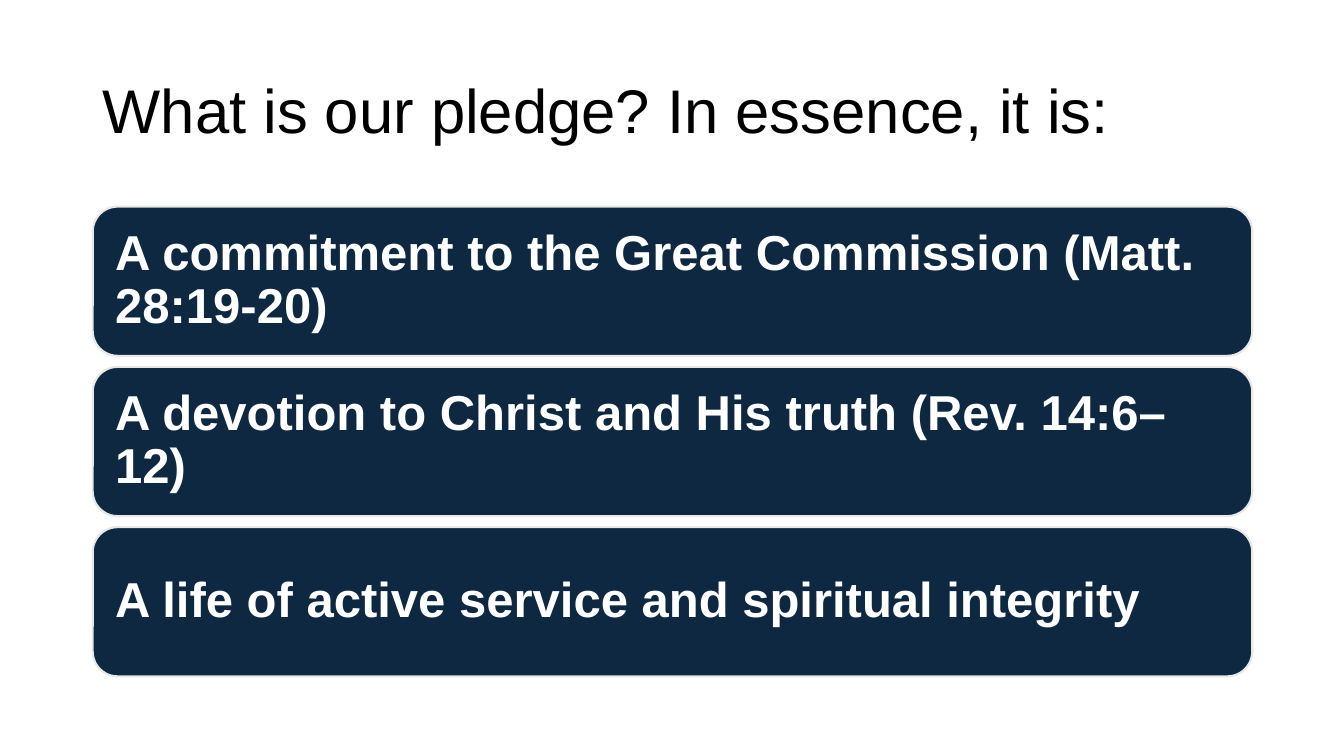
"""Build the pledge slide: a title above three rounded statement bars."""
from pptx import Presentation
from pptx.dml.color import RGBColor
from pptx.enum.shapes import MSO_SHAPE
from pptx.enum.text import MSO_ANCHOR, PP_ALIGN
from pptx.util import Inches, Pt

NAVY = RGBColor(0x0E, 0x28, 0x41)
PALE_GREY = RGBColor(0xE8, 0xE8, 0xE8)
WHITE = RGBColor(0xFF, 0xFF, 0xFF)
BLACK = RGBColor(0x00, 0x00, 0x00)

LEFT, WIDTH = Inches(0.92), Inches(11.5)
FIRST_ROW, ROW_PITCH, BAR_HEIGHT = Inches(2.05), Inches(1.59), Inches(1.48)

PLEDGES = [
    "A commitment to the Great Commission (Matt. 28:19-20)",
    "A devotion to Christ and His truth (Rev. 14:6–12)",
    "A life of active service and spiritual integrity",
]


def write(shape, text, inset, font_format):
    """Set one left-aligned, vertically centred paragraph in a shape."""
    frame = shape.text_frame
    frame.word_wrap = True
    frame.vertical_anchor = MSO_ANCHOR.MIDDLE
    for side in ("left", "right", "top", "bottom"):
        setattr(frame, f"margin_{side}", inset)
    paragraph = frame.paragraphs[0]
    paragraph.alignment = PP_ALIGN.LEFT
    paragraph.line_spacing = 0.9
    run = paragraph.add_run()
    run.text = text
    color = font_format["color"]
    run.font.color.rgb = color
    for key in ("name", "size", "bold"):
        setattr(run.font, key, font_format[key])


deck = Presentation()
deck.slide_width, deck.slide_height = Inches(13.33), Inches(7.5)
slide = deck.slides.add_slide(deck.slide_layouts[6])

question = slide.shapes.add_textbox(LEFT, Inches(0.4), WIDTH, Inches(1.45))
write(question, "What is our pledge? In essence, it is:", Inches(0.1),
      {"name": "Arial", "size": Pt(44), "bold": False, "color": BLACK})

for row, pledge in enumerate(PLEDGES):
    bar = slide.shapes.add_shape(MSO_SHAPE.ROUNDED_RECTANGLE, LEFT,
                                 FIRST_ROW + row * ROW_PITCH, WIDTH, BAR_HEIGHT)
    bar.shadow.inherit = False
    bar.fill.solid()
    bar.fill.fore_color.rgb = NAVY
    bar.line.color.rgb = PALE_GREY
    bar.line.width = Pt(1.5)
    write(bar, pledge, Inches(0.15),
          {"name": "Arial", "size": Pt(35), "bold": True, "color": WHITE})

deck.save("out.pptx")
